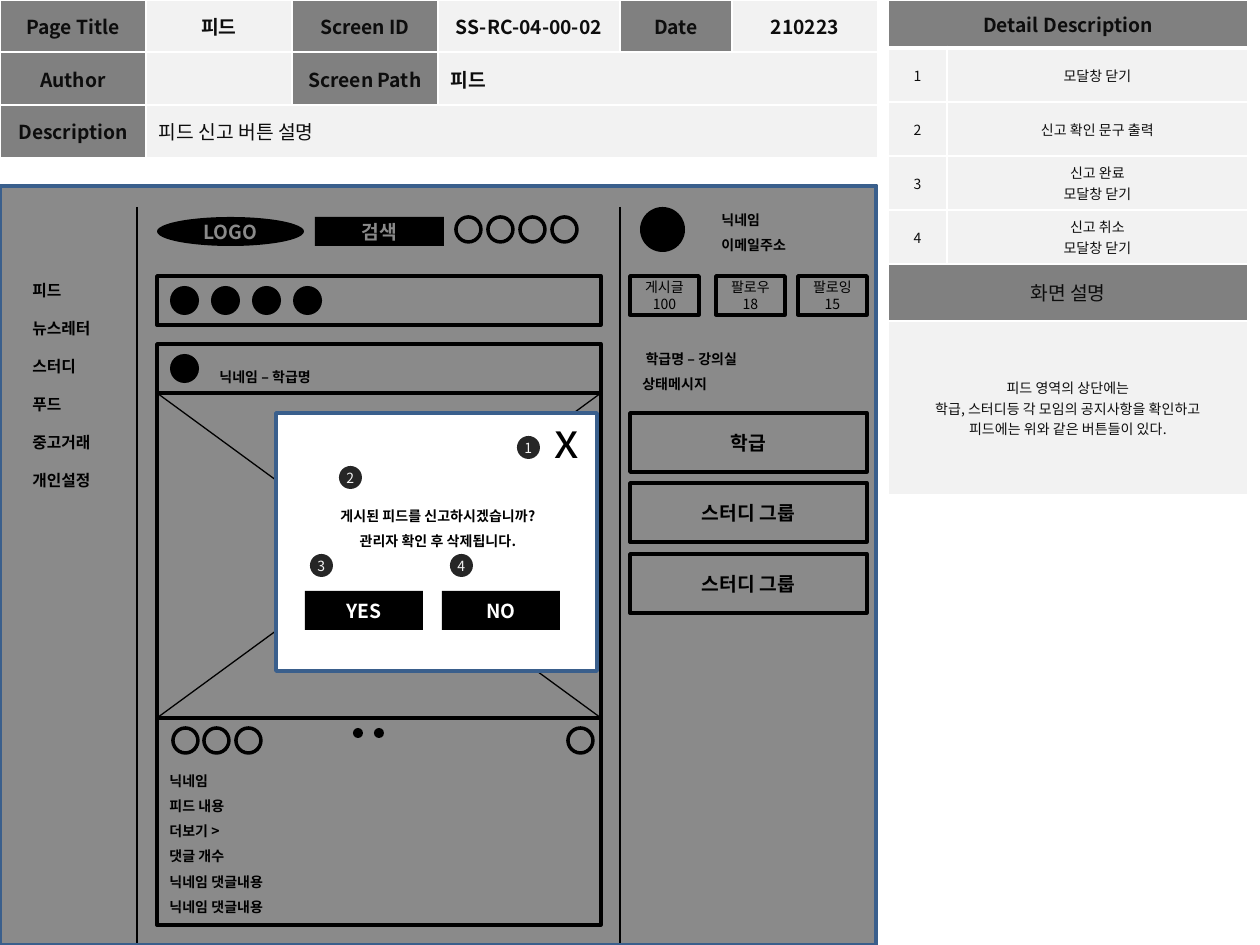
import pptx
import pptx.util
import pptx.dml.color
import pptx.enum.shapes
import pptx.enum.text
import pptx.oxml.ns
import lxml.etree

RGB = pptx.dml.color.RGBColor
BLACK = RGB(0x00, 0x00, 0x00)
INK = RGB(0x0D, 0x0D, 0x0D)
BADGE = RGB(0x26, 0x26, 0x26)
GREY = RGB(0x80, 0x80, 0x80)
PALE = RGB(0xF2, 0xF2, 0xF2)
WHITE = RGB(0xFF, 0xFF, 0xFF)
BLUE = RGB(0x3A, 0x5F, 0x8C)
FONT = "Noto Sans CJK KR"
SCALE = 914400 / 126
RECT = pptx.enum.shapes.MSO_SHAPE.RECTANGLE
OVAL = pptx.enum.shapes.MSO_SHAPE.OVAL
LEFT = pptx.enum.text.PP_ALIGN.LEFT
CENTER = pptx.enum.text.PP_ALIGN.CENTER
MIDDLE = pptx.enum.text.MSO_ANCHOR.MIDDLE


def emu(*pixels):
    return [round(v * SCALE) for v in pixels]


def sub(parent, tag, **attrs):
    return lxml.etree.SubElement(parent, pptx.oxml.ns.qn(tag), attrs)


def write(tf, text, size=8, color=BLACK, bold=False, align=LEFT, spacing=None):
    for i, line in enumerate(text.split("\n")):
        p = tf.paragraphs[0] if i == 0 else tf.add_paragraph()
        p.text = line
        p.alignment = align
        if spacing:
            p.line_spacing = spacing
        for r in p.runs:
            r.font.size = pptx.util.Pt(size)
            r.font.bold = bold
            r.font.color.rgb = color
            r.font.name = FONT
            sub(r.font._element, "a:ea", typeface=FONT)


def shape(shapes, kind, x, y, w, h, fill=None, line=None, text="", **fmt):
    sp = shapes.add_shape(kind, *emu(x, y, w, h))
    sp.shadow.inherit = False
    if fill is None:
        sp.fill.background()
    else:
        sp.fill.solid()
        sp.fill.fore_color.rgb = fill
    if line is None:
        sp.line.fill.background()
    else:
        sp.line.color.rgb = line
        sp.line.width = pptx.util.Pt(2)
    if text:
        sp.text_frame.vertical_anchor = MIDDLE
        write(sp.text_frame, text, align=CENTER, **fmt)
    return sp


def label(shapes, x, y, w, h, text, wrap=True, **fmt):
    tf = shapes.add_textbox(*emu(x, y, w, h)).text_frame
    tf.word_wrap = wrap
    write(tf, text, **fmt)


def rule(shapes, x1, y1, x2, y2):
    cx = shapes.add_connector(pptx.enum.shapes.MSO_CONNECTOR.STRAIGHT, *emu(x1, y1, x2, y2))
    cx.line.color.rgb = BLACK
    cx.line.width = pptx.util.Pt(0.75)
    sub(cx._element.spPr, "a:effectLst")


def table(shapes, x, y, cols, rows):
    tbl = shapes.add_table(len(rows), len(cols), *emu(x, y, sum(cols), sum(rows))).table
    for col, w in zip(tbl.columns, emu(*cols)):
        col.width = w
    for row, h in zip(tbl.rows, emu(*rows)):
        row.height = h
    return tbl


def cell(tbl, row, col, text, fill=PALE, span=1, bottom=1, align=CENTER, **fmt):
    c = tbl.cell(row, col)
    if span > 1:
        c.merge(tbl.cell(row, col + span - 1))
    c.vertical_anchor = MIDDLE
    write(c.text_frame, text, align=align, **fmt)
    tcPr = c._tc.get_or_add_tcPr()
    for side in "LRTB":
        width = bottom if side == "B" else 1
        ln = sub(tcPr, "a:ln" + side, w=str(12700 * width))
        sub(sub(ln, "a:solidFill"), "a:srgbClr", val=str(WHITE))
    c.fill.solid()
    c.fill.fore_color.rgb = fill


def header_table(shapes, x, y):
    tbl = table(shapes, x, y, [146, 146, 146, 182, 112, 146], [52, 53, 53])
    head = dict(fill=GREY, size=11, color=INK, bold=True)
    value = dict(size=11, color=INK, bold=True)
    first = ["Page Title", "피드", "Screen ID", "SS-RC-04-00-02", "Date", "210223"]
    for i, text in enumerate(first):
        cell(tbl, 0, i, text, **(value if i % 2 else head))
    cell(tbl, 1, 0, "Author", **head)
    cell(tbl, 1, 1, "", **value)
    cell(tbl, 1, 2, "Screen Path", **head)
    cell(tbl, 1, 3, "피드", span=3, align=LEFT, **value)
    cell(tbl, 2, 0, "Description", **head)
    cell(tbl, 2, 1, "피드 신고 버튼 설명", span=5, align=LEFT, size=11, color=INK)


def detail_table(shapes, x, y):
    tbl = table(shapes, x, y, [59, 301], [48, 54, 54, 54, 54, 57, 174])
    head = dict(fill=GREY, span=2, size=11, color=INK)
    cell(tbl, 0, 0, "Detail Description", bold=True, bottom=3, **head)
    notes = ["모달창 닫기", "신고 확인 문구 출력", "신고 완료\n모달창 닫기", "신고 취소\n모달창 닫기"]
    for i, note in enumerate(notes, 1):
        cell(tbl, i, 0, str(i), color=INK)
        cell(tbl, i, 1, note, color=INK)
    cell(tbl, 5, 0, "화면 설명", **head)
    cell(tbl, 6, 0, "피드 영역의 상단에는\n학급, 스터디등 각 모임의 공지사항을 확인하고\n"
         "피드에는 위와 같은 버튼들이 있다.", span=2, color=INK)


def menu(shapes, x, y):
    label(shapes, x, y, 186, 236, "피드\n뉴스레터\n스터디\n푸드\n중고거래\n개인설정",
          size=9, bold=True, spacing=2)


def top_bar(shapes, x, y):
    shape(shapes, OVAL, x, y, 147, 29, BLACK, text="LOGO", size=11, color=WHITE, bold=True)
    shape(shapes, RECT, x + 158, y, 129, 29, BLACK, text="검색", size=11, color=WHITE, bold=True)
    for i in range(4):
        shape(shapes, OVAL, x + 299 + 32 * i, y, 25, 25, line=BLACK)


def stories(shapes, x, y):
    shape(shapes, RECT, x, y, 444, 49, WHITE, BLACK)
    for i in range(4):
        shape(shapes, OVAL, x + 13 + 41 * i, y + 10, 29, 29, BLACK)


def post(shapes, x, y):
    shape(shapes, RECT, x, y, 444, 581, WHITE, BLACK)
    shape(shapes, OVAL, x + 13, y + 10, 29, 29, BLACK)
    label(shapes, x + 50, y + 10, 168, 38, "닉네임 – 학급명", bold=True, spacing=1.5)
    shape(shapes, RECT, x, y + 49, 444, 325, line=BLACK)
    rule(shapes, x, y + 49, x + 444, y + 374)
    rule(shapes, x, y + 374, x + 444, y + 49)
    label(shapes, x, y + 414, 168, 165,
          "닉네임\n피드 내용\n더보기 >\n댓글 개수\n닉네임 댓글내용\n닉네임 댓글내용",
          bold=True, spacing=1.5)
    for dx in (16, 47, 79, 411):
        shape(shapes, OVAL, x + dx, y + 384, 25, 25, WHITE, BLACK)
    for dx in (196, 217):
        shape(shapes, OVAL, x + dx, y + 384, 10, 10, BLACK)


def profile(shapes, x, y):
    shape(shapes, OVAL, x + 10, y, 45, 45, BLACK)
    label(shapes, x + 79, y - 10, 118, 60, "닉네임\n이메일주소", bold=True, spacing=1.5)
    for dx, text in ((0, "게시글\n100"), (86, "팔로우\v18"), (168, "팔로잉\v15")):
        shape(shapes, RECT, x + dx, y + 69, 69, 39, WHITE, BLACK, text)
    label(shapes, x, y + 129, 217, 63, " 학급명 – 강의실\n상태메시지", bold=True, spacing=1.5)
    for dy, text in ((206, "학급"), (276, "스터디 그룹"), (347, "스터디 그룹")):
        shape(shapes, RECT, x, y + dy, 237, 59, WHITE, BLACK, text, size=11, bold=True)


def badge(shapes, x, y, number):
    group = shapes.add_group_shape().shapes
    shape(group, OVAL, x, y, 23, 23, BADGE)
    label(group, x - 5, y - 3, 33, 30, str(number), wrap=False, color=PALE)


def modal(shapes, x, y):
    shape(shapes, RECT, x, y, 321, 258, WHITE, BLUE)
    label(shapes, x + 266, y - 10, 48, 72, "x", wrap=False, size=28)
    label(shapes, x + 29, y + 80, 266, 60, "게시된 피드를 신고하시겠습니까?\n관리자 확인 후 삭제됩니다.",
          bold=True, align=CENTER, spacing=1.5)
    for dx, text in ((29, "YES"), (166, "NO")):
        shape(shapes, RECT, x + dx, y + 178, 118, 39, BLACK, text=text,
              size=11, color=WHITE, bold=True)
    for i, (dx, dy) in enumerate(((241, 23), (63, 53), (34, 141), (174, 141)), 1):
        badge(shapes, x + dx, y + dy, i)


def wireframe(shapes, x, y, w, h):
    shape(shapes, RECT, x, y, w, h, line=INK)
    menu(shapes, x + 20, y + 70)
    for dx in (137, 620):
        rule(shapes, x + dx, y + 21, x + dx, y + h)
    profile(shapes, x + 630, y + 21)
    stories(shapes, x + 157, y + 90)
    post(shapes, x + 157, y + 158)
    top_bar(shapes, x + 157, y + 31)
    dim = shape(shapes, RECT, x, y, w, h, BLACK, BLUE)
    sub(dim._element.spPr.find(".//" + pptx.oxml.ns.qn("a:srgbClr")), "a:alpha", val="46000")
    modal(shapes, x + 276, y + 227)


prs = pptx.Presentation()
prs.slide_width, prs.slide_height = emu(1260, 945)
s = prs.slides.add_slide(prs.slide_layouts[6])
header_table(s.shapes, 0, 0)
detail_table(s.shapes, 888, 0)
wireframe(s.shapes, 0, 186, 876, 759)
prs.save("out.pptx")
